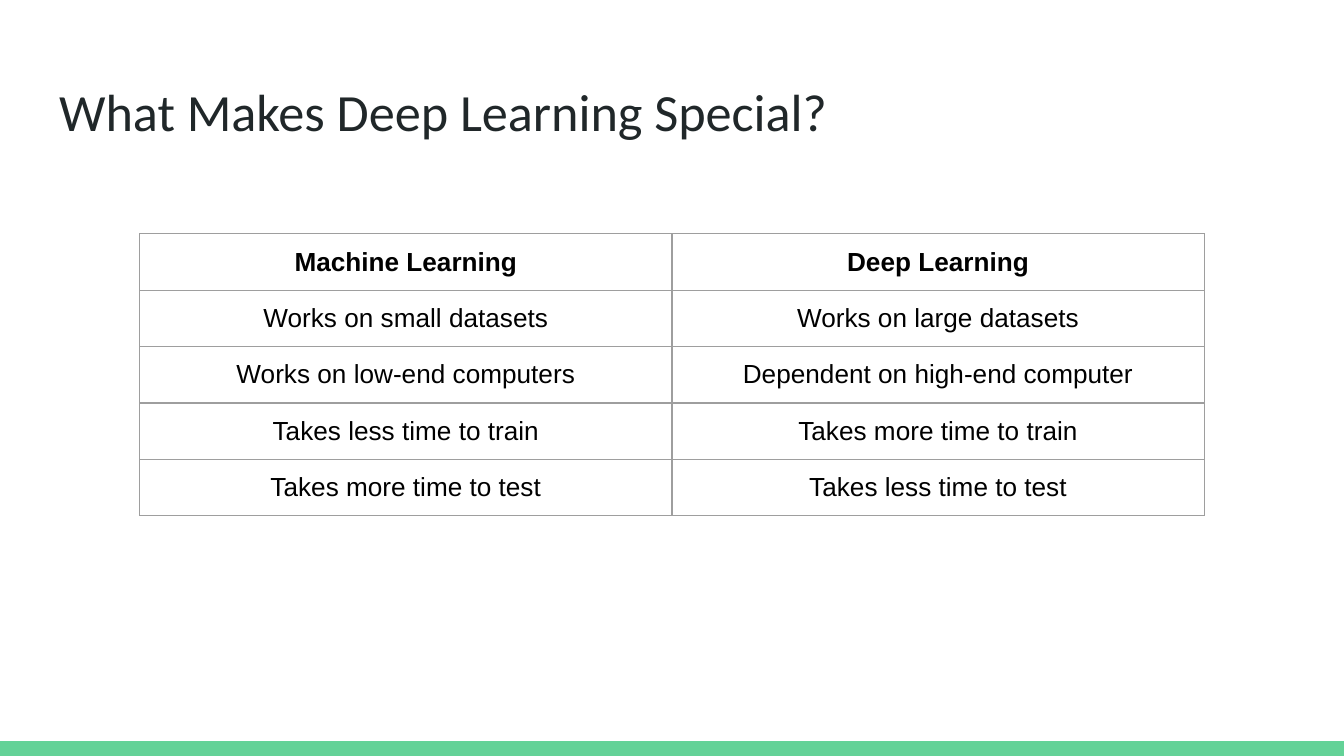
from lxml import etree
from pptx import Presentation
from pptx.dml.color import RGBColor
from pptx.enum.shapes import MSO_SHAPE
from pptx.enum.text import MSO_ANCHOR, MSO_AUTO_SIZE, PP_ALIGN
from pptx.oxml.ns import qn
from pptx.util import Inches, Pt

RECTANGLE = MSO_SHAPE.RECTANGLE
TOP = MSO_ANCHOR.TOP
NO_FIT = MSO_AUTO_SIZE.NONE
LEFT, CENTER = PP_ALIGN.LEFT, PP_ALIGN.CENTER

GREEN = RGBColor(0x63, 0xD2, 0x97)
INK = RGBColor(0x20, 0x27, 0x29)
BLACK = RGBColor(0, 0, 0)
GRAY = RGBColor(0x9E, 0x9E, 0x9E)

ROWS = [
    ("Machine Learning", "Deep Learning"),
    ("Works on small datasets", "Works on large datasets"),
    ("Works on low-end computers", "Dependent on high-end computer"),
    ("Takes less time to train", "Takes more time to train"),
    ("Takes more time to test", "Takes less time to test"),
]
COLUMN_WIDTH = 3.96
ROW_HEIGHT = 0.42
BAR_HEIGHT = Inches(0.11)


def add_text(para, text, font, size, color, align, bold=False):
    para.alignment = align
    span = para.add_run()
    span.text = text
    span.font.name = font
    span.font.size = Pt(size)
    span.font.bold = bold
    span.font.color.rgb = color


def add_borders(cell):
    properties = cell._tc.get_or_add_tcPr()
    for position, side in enumerate(("a:lnL", "a:lnR", "a:lnT", "a:lnB")):
        line = etree.Element(qn(side), w=str(Pt(0.75)))
        fill = etree.SubElement(line, qn("a:solidFill"))
        etree.SubElement(fill, qn("a:srgbClr"), val=str(GRAY))
        properties.insert(position, line)


deck = Presentation()
deck.slide_width = Inches(10)
deck.slide_height = Inches(10) * 9 // 16
page = deck.slides.add_slide(deck.slide_layouts[5])

bar = page.shapes.add_shape(
    RECTANGLE, Inches(0), deck.slide_height - BAR_HEIGHT, deck.slide_width, BAR_HEIGHT
)
bar.shadow.inherit = False
bar.fill.solid()
bar.fill.fore_color.rgb = GREEN
bar.line.fill.background()

title = page.shapes.title
title.left, title.top = Inches(0.34), Inches(0.49)
title.width, title.height = Inches(9.32), Inches(0.63)
frame = title.text_frame
frame.margin_left = frame.margin_right = Inches(0.1)
frame.margin_top = frame.margin_bottom = Inches(0.1)
frame.vertical_anchor = TOP
frame.auto_size = NO_FIT
frame.word_wrap = True
add_text(frame.paragraphs[0], "What Makes Deep Learning Special?", "Calibri", 28, INK, LEFT)

table = page.shapes.add_table(
    len(ROWS), 2, Inches(1.04), Inches(1.74),
    Inches(2 * COLUMN_WIDTH), Inches(len(ROWS) * ROW_HEIGHT),
).table
table.horz_banding = False
for column in table.columns:
    column.width = Inches(COLUMN_WIDTH)
for row_index, texts in enumerate(ROWS):
    table.rows[row_index].height = Inches(ROW_HEIGHT)
    for column_index, text in enumerate(texts):
        cell = table.cell(row_index, column_index)
        cell.fill.background()
        cell.margin_left = cell.margin_right = Inches(0.1)
        cell.margin_top = cell.margin_bottom = Inches(0.1)
        add_borders(cell)
        add_text(cell.text_frame.paragraphs[0], text, "Arial", 14, BLACK, CENTER, row_index == 0)

deck.save("out.pptx")
